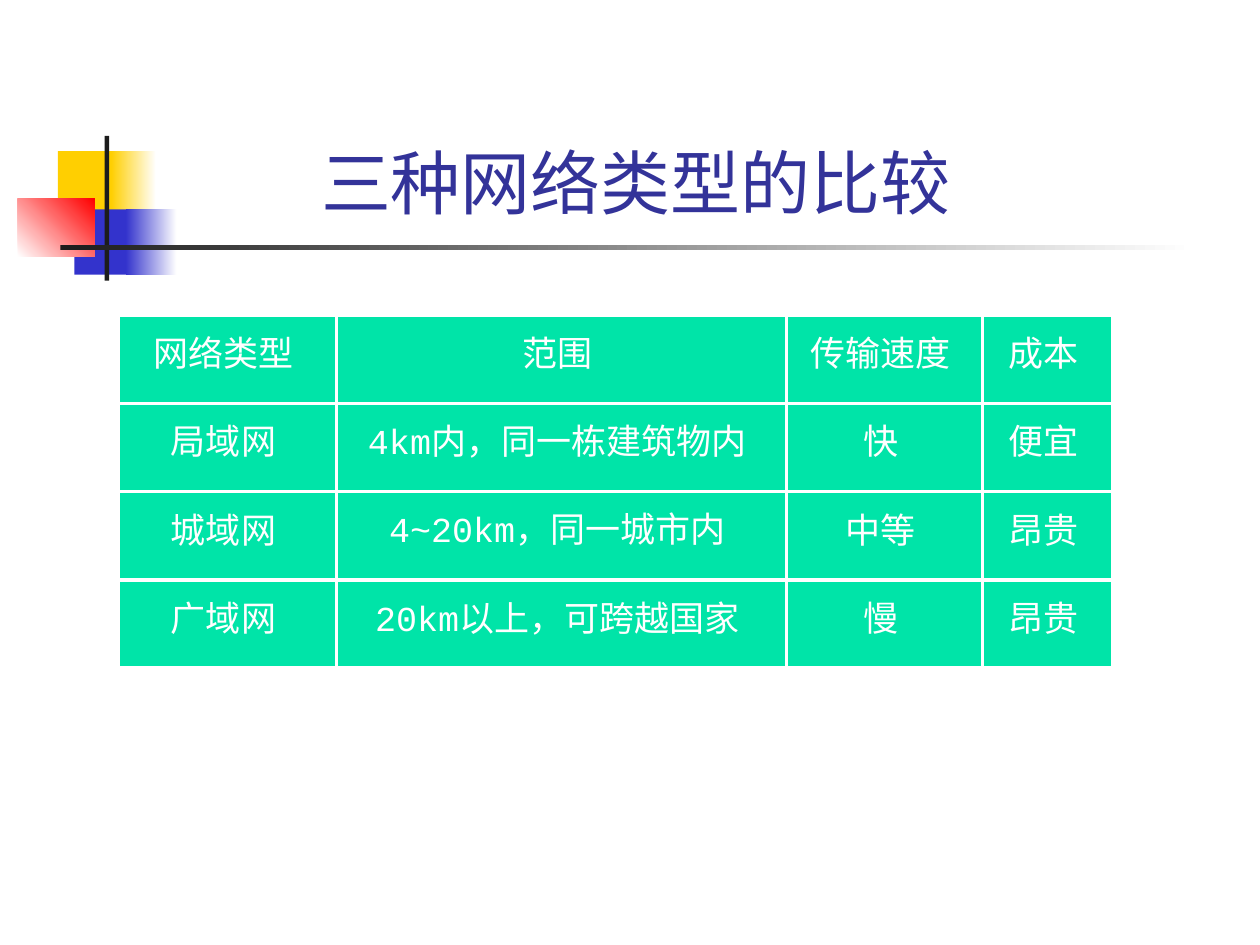
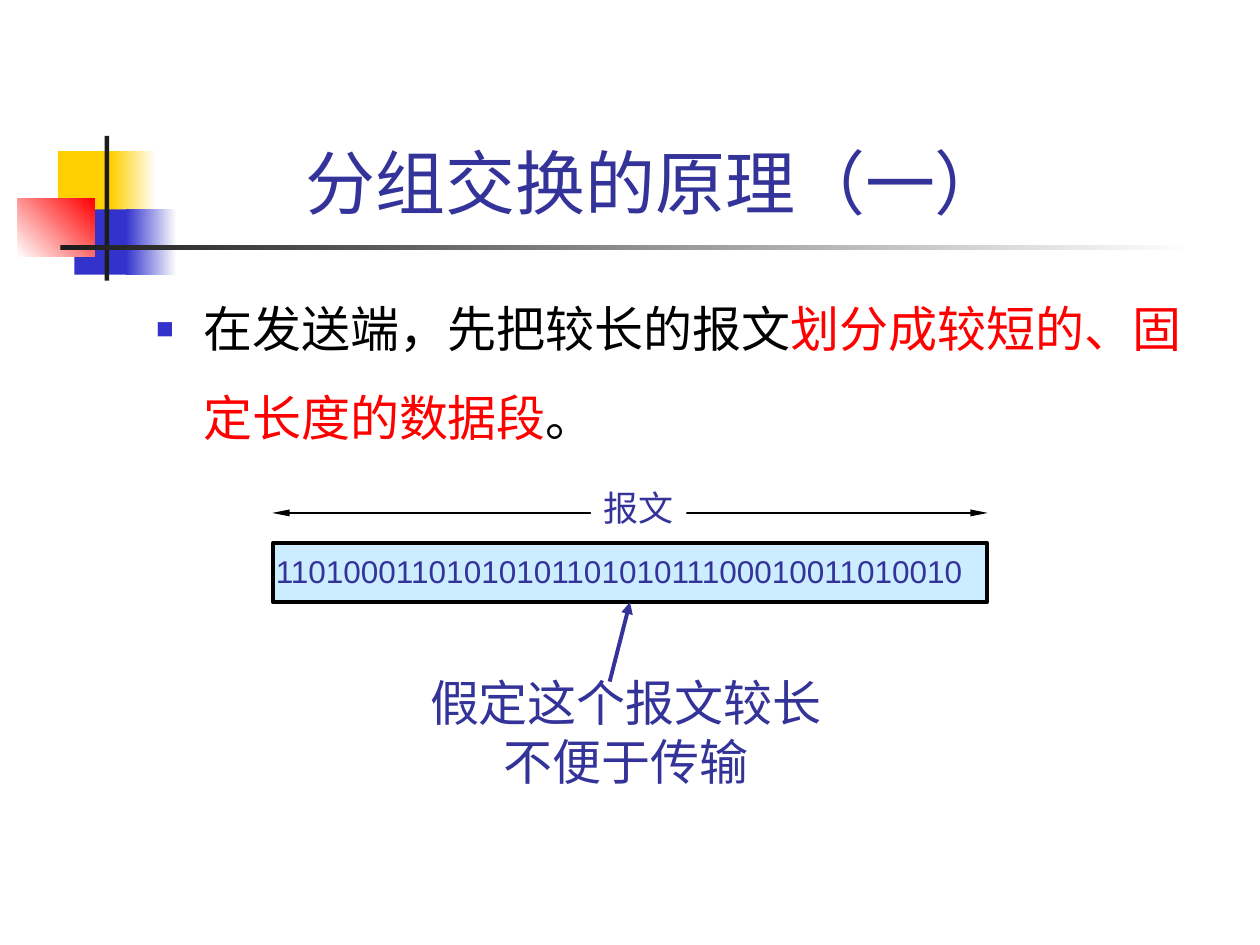
from dataclasses import dataclass
from typing import Optional

import pptx
import pptx.dml.color
import pptx.enum.shapes
import pptx.enum.text
import pptx.oxml
import pptx.oxml.ns
import pptx.util
from lxml import etree

Cm = pptx.util.Cm
Pt = pptx.util.Pt
ALIGN = pptx.enum.text.PP_ALIGN
ANCHOR = pptx.enum.text.MSO_ANCHOR

COLORS = {
    "white": "FFFFFF",
    "black": "000000",
    "yellow": "FFCF01",
    "blue": "3333CC",
    "red": "FF0000",
    "charcoal": "1C1C1C",
    "indigo": "333399",
    "green": "00E4A8",
    "sky": "CCECFF",
}


@dataclass
class Box:
    """Left, top, width and height in centimetres."""
    left: float
    top: float
    width: float
    height: float

    def lengths(self) -> tuple:
        return Cm(self.left), Cm(self.top), Cm(self.width), Cm(self.height)


@dataclass
class Block:
    box: Box
    color: Optional[str] = None
    fade_to: Optional[str] = None
    angle: float = 0
    outline: Optional[str] = None


@dataclass
class TextStyle:
    font: str
    size: float
    color: str
    align: ALIGN = ALIGN.LEFT


@dataclass
class Arrow:
    start: tuple
    end: tuple
    color: str
    width: float
    ends: tuple
    head_width: str = "med"
    head_length: str = "med"


# Ornament shared by all slides
ORNAMENT = [
    Block(Box(1.17, 3.05, 1.22, 1.32), "yellow"),
    Block(Box(2.24, 3.05, 0.91, 1.32), "yellow", "white"),
    Block(Box(1.5, 4.22, 1.17, 1.32), "blue"),
    Block(Box(2.54, 4.22, 1.02, 1.32), "blue", "white"),
    Block(Box(0.36, 4.01, 1.55, 1.17), "white", "red", 45),
    Block(Box(2.11, 2.74, 0.09, 2.92), "charcoal"),
    Block(Box(1.22, 4.94, 22.86, 0.1), "charcoal", "white"),
]

TITLE = TextStyle("DejaVu Sans", 40, "indigo", ALIGN.CENTER)
BODY = TextStyle("DejaVu Sans", 28, "black")
CELL = TextStyle("Courier New", 20, "white", ALIGN.CENTER)
LABEL = TextStyle("Times New Roman", 20, "indigo")
DIGITS = TextStyle("Arial", 18, "indigo")
CAPTION = TextStyle("Cabin", 28, "indigo", ALIGN.CENTER)

# Network comparison table
NETWORK_COLUMNS = [4.39, 9.07, 3.96, 2.62]
NETWORK_ROW_HEIGHT = 1.78
NETWORK_ROWS = [
    ["网络类型 ", "范围 ", "传输速度 ", "成本 "],
    ["局域网 ", "4km内，同一栋建筑物内 ", "快 ", "便宜 "],
    ["城域网 ", "4~20km，同一城市内 ", "中等 ", "昂贵 "],
    ["广域网 ", "20km以上，可跨越国家 ", "慢 ", "昂贵 "],
]


def rgb(name: str) -> pptx.dml.color.RGBColor:
    return pptx.dml.color.RGBColor.from_string(COLORS[name])


def add_element(parent, tag: str, **attributes: str):
    element = etree.SubElement(parent, pptx.oxml.ns.qn(tag))
    for name, value in attributes.items():
        element.set(name, value)
    return element


def add_block(slide, block: Block):
    shape = slide.shapes.add_shape(
        pptx.enum.shapes.MSO_SHAPE.RECTANGLE, *block.box.lengths())
    shape.shadow.inherit = False
    if block.fade_to:
        shape.fill.gradient()
        shape.fill.gradient_angle = block.angle
        for stop, color in zip(shape.fill.gradient_stops, (block.color, block.fade_to)):
            stop.color.rgb = rgb(color)
    elif block.color:
        shape.fill.solid()
        shape.fill.fore_color.rgb = rgb(block.color)
    else:
        shape.fill.background()
    if block.outline:
        shape.line.color.rgb = rgb(block.outline)
        shape.line.width = Pt(2.25)
    else:
        shape.line.fill.background()
    return shape


def add_run(paragraph, text: str, style: TextStyle, color: Optional[str] = None) -> None:
    run = paragraph.add_run()
    run.text = text
    run.font.name = style.font
    run.font.size = Pt(style.size)
    run.font.color.rgb = rgb(color or style.color)


def write_lines(text_frame, lines: list, style: TextStyle) -> None:
    for index, line in enumerate(lines):
        paragraph = text_frame.add_paragraph() if index else text_frame.paragraphs[0]
        paragraph.alignment = style.align
        add_run(paragraph, line, style)


def fit_to_text(text_frame) -> None:
    text_frame.word_wrap = False
    text_frame.auto_size = pptx.enum.text.MSO_AUTO_SIZE.SHAPE_TO_FIT_TEXT


def add_fitted_text(slide, box: Box, lines: list, style: TextStyle) -> None:
    text_frame = slide.shapes.add_textbox(*box.lengths()).text_frame
    fit_to_text(text_frame)
    write_lines(text_frame, lines, style)


def add_arrow(slide, arrow: Arrow) -> None:
    connector = slide.shapes.add_connector(
        pptx.enum.shapes.MSO_CONNECTOR.STRAIGHT,
        *(Cm(value) for value in arrow.start + arrow.end))
    connector.line.color.rgb = rgb(arrow.color)
    connector.line.width = Pt(arrow.width)
    line = connector.line._get_or_add_ln()
    for end in arrow.ends:
        add_element(line, end, type="triangle", w=arrow.head_width, len=arrow.head_length)
    add_element(connector._element.spPr, "a:effectLst")


def start_slide(presentation, title: str, title_width: float):
    slide = presentation.slides.add_slide(presentation.slide_layouts[6])
    for block in ORNAMENT:
        add_block(slide, block)
    text_frame = slide.shapes.add_textbox(
        *Box(3.2, 0.58, title_width, 4.06).lengths()).text_frame
    text_frame.word_wrap = True
    text_frame.vertical_anchor = ANCHOR.BOTTOM
    write_lines(text_frame, [title], TITLE)
    return slide


def fill_cell(cell, text: str) -> None:
    cell.fill.solid()
    cell.fill.fore_color.rgb = rgb("green")
    cell.vertical_anchor = ANCHOR.MIDDLE
    cell.margin_left = cell.margin_right = cell.margin_top = cell.margin_bottom = 0
    write_lines(cell.text_frame, [text], CELL)
    cell.text_frame.paragraphs[0].line_spacing = Pt(20)
    # Borders come before the fill in the cell properties
    properties = cell._tc.get_or_add_tcPr()
    for index, side in enumerate(("a:lnL", "a:lnR", "a:lnT", "a:lnB")):
        border = add_element(properties, side, w=str(Pt(2.25)))
        add_element(add_element(border, "a:solidFill"), "a:srgbClr", val=COLORS["white"])
        properties.insert(index, border)


def build_comparison_slide(presentation) -> None:
    slide = start_slide(presentation, "三种网络类型的比较", 19.23)
    box = Box(2.39, 6.35, sum(NETWORK_COLUMNS), NETWORK_ROW_HEIGHT * len(NETWORK_ROWS))
    table = slide.shapes.add_table(
        len(NETWORK_ROWS), len(NETWORK_COLUMNS), *box.lengths()).table
    table.first_row = table.horz_banding = False
    for column, width in zip(table.columns, NETWORK_COLUMNS):
        column.width = Cm(width)
    for row, texts in zip(table.rows, NETWORK_ROWS):
        row.height = Cm(NETWORK_ROW_HEIGHT)
        for cell, text in zip(row.cells, texts):
            fill_cell(cell, text)


def add_bullet(paragraph) -> None:
    properties = paragraph._p.get_or_add_pPr()
    properties.set("marL", str(Cm(0.95)))
    properties.set("indent", str(Cm(-0.95)))
    add_element(add_element(properties, "a:buClr"), "a:srgbClr", val=COLORS["blue"])
    add_element(properties, "a:buSzPct", val="60000")
    add_element(properties, "a:buFont", typeface="Arial")
    add_element(properties, "a:buChar", char="■")


def build_switching_slide(presentation) -> None:
    slide = start_slide(presentation, "分组交换的原理（一）", 20.02)

    # Explanation
    text_frame = slide.shapes.add_textbox(*Box(2.9, 5.31, 21.59, 4.04).lengths()).text_frame
    text_frame.word_wrap = True
    paragraph = text_frame.paragraphs[0]
    paragraph.line_spacing = 1.5
    paragraph.space_before = Pt(5.6)
    add_bullet(paragraph)
    add_run(paragraph, "在发送端，先把较长的报文", BODY)
    add_run(paragraph, "划分成较短的、固定长度的数据段", BODY, "red")
    add_run(paragraph, "。", BODY)

    # Message length
    add_arrow(slide, Arrow((5.49, 10.34), (19.91, 10.34), "black", 0.75,
                           ("a:headEnd", "a:tailEnd"), "sm", "lg"))
    label = add_block(slide, Block(Box(11.91, 9.68, 1.93, 1.09), "white"))
    fit_to_text(label.text_frame)
    write_lines(label.text_frame, ["报文"], LABEL)

    # Message made of three equal segments
    segment_width = 4.8
    for index in range(3):
        add_block(slide, Block(
            Box(5.5 + index * segment_width, 10.95, segment_width, 1.19), "sky"))
    add_block(slide, Block(Box(5.5, 10.95, 3 * segment_width, 1.19), outline="black"))
    add_fitted_text(slide, Box(5.31, 11, 14.63, 1.02),
                    ["1101000110101010110101011100010011010010"], DIGITS)

    # Remark
    add_fitted_text(slide, Box(8.41, 13.44, 8.41, 2.62),
                    ["假定这个报文较长", "不便于传输"], CAPTION)
    add_arrow(slide, Arrow((12.29, 13.74), (12.7, 12.14), "indigo", 2.25, ("a:tailEnd",)))


def main() -> None:
    presentation = pptx.Presentation()
    presentation.slide_width = Cm(25.4)
    presentation.slide_height = Cm(19.05)
    build_comparison_slide(presentation)
    build_switching_slide(presentation)
    presentation.save("out.pptx")


if __name__ == "__main__":
    main()
